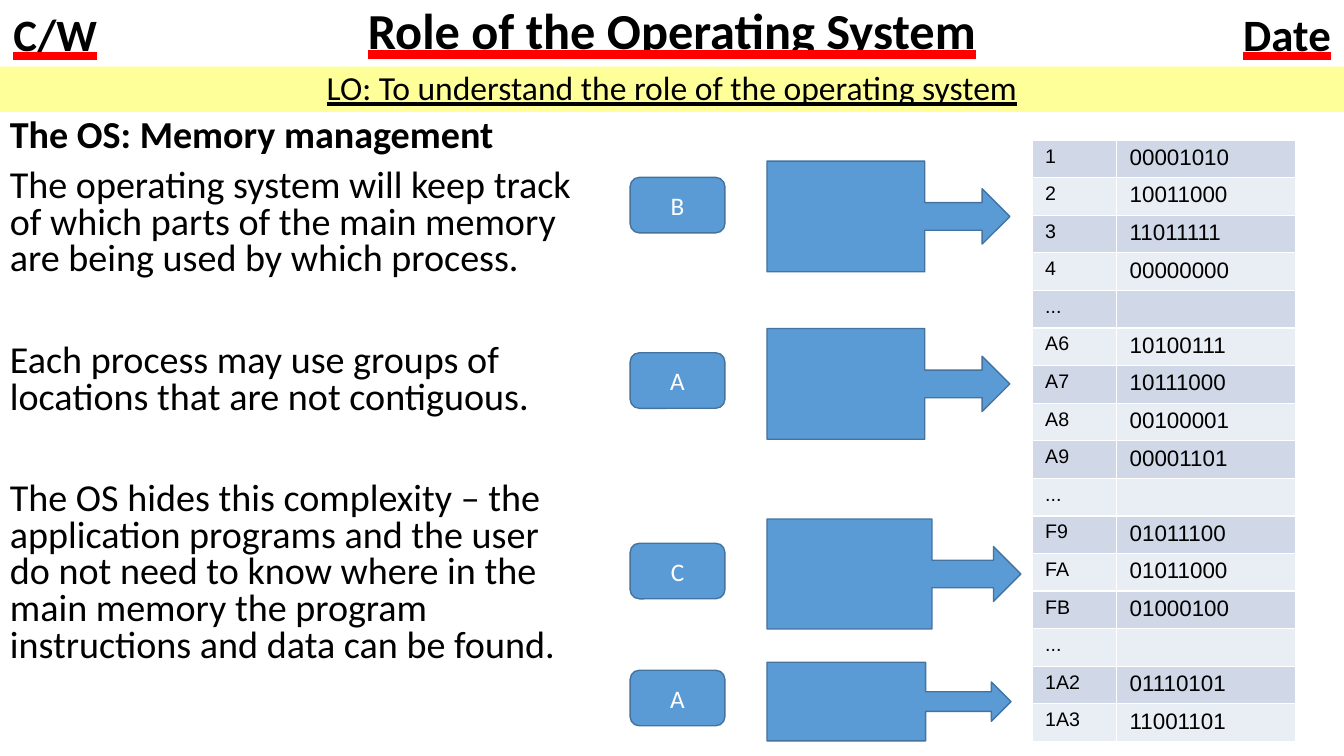
from dataclasses import dataclass

from lxml import etree
from pptx import Presentation
from pptx import util as u
from pptx.dml import color
from pptx.enum import shapes, text
from pptx.oxml import ns

BLACK, WHITE, RED = "000000", "FFFFFF", "FF0000"
BLUE, BLUE_EDGE = "5B9BD5", "43739E"
PALE_YELLOW = "FFFF99"
BANDS = ("D0D8E8", "E9EDF4")
SLIDE_WIDTH, SLIDE_HEIGHT = 33.87, 19.05
CENTER = text.PP_ALIGN.CENTER
RECTANGLE = shapes.MSO_SHAPE.RECTANGLE


@dataclass(frozen=True)
class Box:
    left: float
    top: float
    width: float
    height: float

    def lengths(self) -> tuple:
        return tuple(u.Cm(v) for v in (self.left, self.top, self.width, self.height))


@dataclass(frozen=True)
class Heading:
    wording: str
    box: Box
    size: float
    fill: str | None = WHITE
    bold: bool = True
    red_underline: bool = True
    anchor: text.MSO_ANCHOR = text.MSO_ANCHOR.MIDDLE
    line_spacing: float = 1.0


@dataclass(frozen=True)
class Process:
    letter: str
    top: float
    callout: Box


@dataclass(frozen=True)
class Passage:
    wording: str
    space_before: float
    bold: bool = False


def rgb(value: str) -> color.RGBColor:
    return color.RGBColor.from_string(value)


def style_font(font, size: float, ink: str = BLACK, name: str = "Calibri", bold: bool = False) -> None:
    font.size = u.Pt(size)
    font.name = name
    font.bold = bold
    font.color.rgb = rgb(ink)


def underline_in_red(run) -> None:
    run.font.underline = text.MSO_UNDERLINE.HEAVY_LINE
    underline_fill = etree.Element(ns.qn("a:uFill"))
    solid = etree.SubElement(underline_fill, ns.qn("a:solidFill"))
    etree.SubElement(solid, ns.qn("a:srgbClr")).set("val", RED)
    run._r.rPr.find(ns.qn("a:solidFill")).addnext(underline_fill)


def add_panel(slide, kind: shapes.MSO_SHAPE, box: Box, fill: str | None, edge: str | None = None):
    panel = slide.shapes.add_shape(kind, *box.lengths())
    panel.shadow.inherit = False
    if fill:
        panel.fill.solid()
        panel.fill.fore_color.rgb = rgb(fill)
    else:
        panel.fill.background()
    if edge:
        panel.line.color.rgb = rgb(edge)
        panel.line.width = u.Pt(1)
    else:
        panel.line.fill.background()
    return panel


def add_heading(slide, heading: Heading) -> None:
    frame = add_panel(slide, RECTANGLE, heading.box, heading.fill).text_frame
    frame.text = heading.wording
    frame.vertical_anchor = heading.anchor
    paragraph = frame.paragraphs[0]
    paragraph.alignment = CENTER
    paragraph.line_spacing = heading.line_spacing
    run = paragraph.runs[0]
    style_font(run.font, heading.size, bold=heading.bold)
    run.font.underline = True
    if heading.red_underline:
        underline_in_red(run)


def add_explanation(slide, box: Box, passages: list[Passage]) -> None:
    frame = slide.shapes.add_textbox(*box.lengths()).text_frame
    frame.word_wrap = True
    frame.text = "\n".join(passage.wording for passage in passages)
    for paragraph, passage in zip(frame.paragraphs, passages):
        paragraph.line_spacing = 0.8
        paragraph.space_before = u.Pt(passage.space_before)
        style_font(paragraph.runs[0].font, 27.2, bold=passage.bold)


def add_memory_table(slide, box: Box, column_widths: tuple, rows: list[tuple]) -> None:
    memory = slide.shapes.add_table(len(rows), len(column_widths), *box.lengths()).table
    memory.first_row = False
    for column, width in zip(memory.columns, column_widths):
        column.width = u.Cm(width)
    for r, row in enumerate(rows):
        for c, (value, size) in enumerate(zip(row, (14, 16))):
            cell = memory.cell(r, c)
            cell.fill.solid()
            cell.fill.fore_color.rgb = rgb(BANDS[r % 2])
            cell.margin_left = cell.margin_right = u.Cm(0.33)
            cell.margin_top = cell.margin_bottom = u.Cm(0.13)
            cell.text = value
            paragraph = cell.text_frame.paragraphs[0]
            for run in paragraph.runs:
                style_font(run.font, size, name="Arial")
            if not value:
                etree.SubElement(paragraph._p, ns.qn("a:endParaRPr")).set("sz", str(size * 100))


def add_process(slide, process: Process) -> None:
    label = add_panel(slide, shapes.MSO_SHAPE.ROUNDED_RECTANGLE,
                      Box(15.88, process.top, 2.39, 1.4), BLUE, BLUE_EDGE)
    label.text_frame.text = process.letter
    label.text_frame.vertical_anchor = text.MSO_ANCHOR.MIDDLE
    paragraph = label.text_frame.paragraphs[0]
    paragraph.alignment = CENTER
    style_font(paragraph.runs[0].font, 18, WHITE)
    add_panel(slide, shapes.MSO_SHAPE.RIGHT_ARROW_CALLOUT, process.callout, BLUE, BLUE_EDGE)


HEADINGS = [
    Heading("C/W", Box(0, 0.03, 2.79, 1.65), 32),
    Heading("Date", Box(31.04, 0.03, 2.79, 1.65), 32),
    Heading("Role of the Operating System", Box(0, 0, SLIDE_WIDTH, 1.68), 36,
            fill=None, line_spacing=0.9),
    Heading("LO: To understand the role of the operating system",
            Box(0, 1.68, SLIDE_WIDTH, 1.14), 24, PALE_YELLOW, bold=False,
            red_underline=False, anchor=text.MSO_ANCHOR.TOP, line_spacing=0.9),
]

PASSAGES = [
    Passage("The OS: Memory management", 10, bold=True),
    Passage("The operating system will keep track of which parts of the main memory "
            "are being used by which process.", 10),
    Passage("Each process may use groups of locations that are not contiguous.", 46.5),
    Passage("The OS hides this complexity – the application programs and the user do not need "
            "to know where in the main memory the program instructions and data can be found.", 46.5),
]

MEMORY = [
    ("1", "00001010"), ("2", "10011000"), ("3", "11011111"), ("4", "00000000"), ("...", ""),
    ("A6", "10100111"), ("A7", "10111000"), ("A8", "00100001"), ("A9", "00001101"), ("...", ""),
    ("F9", "01011100"), ("FA", "01011000"), ("FB", "01000100"), ("...", ""),
    ("1A2", "01110101"), ("1A3", "11001101"),
]

PROCESSES = [
    Process("B", 4.47, Box(19.33, 4.06, 6.12, 2.79)),
    Process("A", 8.89, Box(19.33, 8.28, 6.12, 2.79)),
    Process("C", 13.69, Box(19.33, 13.08, 6.4, 2.77)),
    Process("A", 16.89, Box(19.33, 16.69, 6.15, 1.98)),
]


def main() -> None:
    deck = Presentation()
    deck.slide_width, deck.slide_height = u.Cm(SLIDE_WIDTH), u.Cm(SLIDE_HEIGHT)
    slide = deck.slides.add_slide(deck.slide_layouts[6])
    for heading in HEADINGS:
        add_heading(slide, heading)
    add_explanation(slide, Box(0, 2.87, 14.76, 16.18), PASSAGES)
    add_memory_table(slide, Box(26.01, 3.53, 6.65, 15.16), (2.13, 4.52), MEMORY)
    for process in PROCESSES:
        add_process(slide, process)
    deck.save("out.pptx")


if __name__ == "__main__":
    main()
